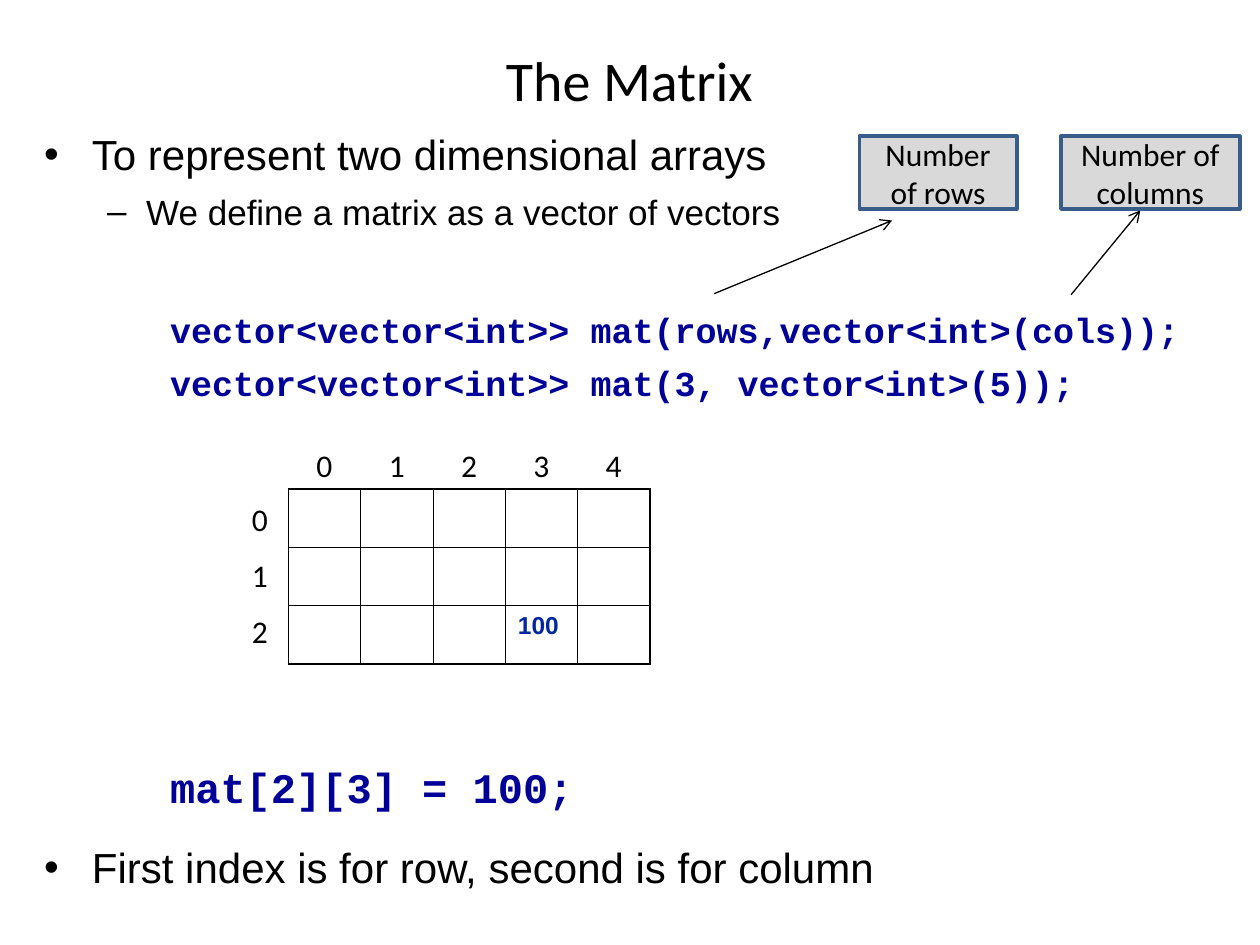
"""Build a slide that explains a matrix as a vector of vectors."""
from lxml import etree
from pptx import Presentation, util as u
from pptx.dml.color import RGBColor
from pptx.enum import shapes, text
from pptx.oxml import ns

TITLE = "The Matrix"
POINT = dict(level=0, left=0.38, hang=0.38, mark="•", font="Arial", color="000000")
SUB = dict(level=1, left=0.81, hang=0.31, mark="–", font="Arial", color="000000")
CODE = dict(level=2, left=1.25, hang=0.25, mark=None, font="Courier New", color="000099", bold=True)
BODY = [
    ("To represent two dimensional arrays", POINT, 24, 0),
    ("We define a matrix as a vector of vectors", SUB, 20, 6.5),
    ("vector<vector<int>> mat(rows,vector<int>(cols));", CODE, 20, 43.5),
    ("vector<vector<int>> mat(3, vector<int>(5));", CODE, 20, 6.5),
    ("mat[2][3] = 100;", CODE, 24, 204.5),
    ("First index is for row, second is for column", POINT, 24, 17),
]
ROWS, COLS = 3, 5
GRID = (2.29, 3.88, 2.87, 1.39)
VALUES = {(2, 3): "100"}
NOTES = [
    ("Number of rows", (6.82, 1.08, 1.25, 0.58), (5.67, 2.33), (7.08, 1.75)),
    ("Number of columns", (8.42, 1.08, 1.42, 0.58), (8.5, 2.34), (9.05, 1.67)),
]


def inches(nums):
    return [u.Inches(n) for n in nums]


def tint(part, color):
    part.rgb = RGBColor.from_string(color)


def node(parent, tag, **attrs):
    return etree.SubElement(parent, ns.qn(tag), {k: str(v) for k, v in attrs.items()})


def write(para, words, size, font="Calibri", color="000000", bold=False):
    run = para.add_run()
    run.text = words
    run.font.size = u.Pt(size)
    run.font.name = font
    run.font.bold = bold
    tint(run.font.color, color)


def place(shape, box):
    shape.left, shape.top, shape.width, shape.height = inches(box)


def add_title(slide):
    title = slide.shapes.title
    place(title, (0.5, 0.3, 8.99, 0.65))
    title.text_frame.vertical_anchor = text.MSO_ANCHOR.MIDDLE
    para = title.text_frame.paragraphs[0]
    para.alignment = text.PP_ALIGN.CENTER
    write(para, TITLE, 32)


def add_body(slide):
    body = slide.placeholders[1]
    place(body, (0.25, 0.93, 9.26, 6.13))
    frame = body.text_frame
    frame.auto_size = text.MSO_AUTO_SIZE.NONE
    frame.margin_top = u.Inches(0.09)
    for i, (words, kind, size, gap) in enumerate(BODY):
        para = frame.add_paragraph() if i else frame.paragraphs[0]
        para.level = kind["level"]
        para.space_before = u.Pt(gap)
        props = para._p.get_or_add_pPr()
        props.set("marL", str(u.Inches(kind["left"])))
        props.set("indent", str(-u.Inches(kind["hang"])))
        if kind["mark"]:
            node(props, "a:buChar", char=kind["mark"])
        else:
            node(props, "a:buNone")
        write(para, words, size, kind["font"], kind["color"], kind.get("bold", False))


def edge(cell, sides):
    props = cell._tc.get_or_add_tcPr()
    for side, outer in sides:
        line = node(props, "a:ln" + side, w=u.Pt(1.08 if outer else 0.45))
        node(node(line, "a:solidFill"), "a:srgbClr", val="000000")


def add_grid(slide):
    table = slide.shapes.add_table(ROWS, COLS, *inches(GRID)).table
    table.first_row = table.horz_banding = False
    for r in range(ROWS):
        for c in range(COLS):
            cell = table.cell(r, c)
            edge(cell, [("L", c == 0), ("R", c == COLS - 1), ("T", r == 0), ("B", r == ROWS - 1)])
            cell.fill.background()
            if (r, c) in VALUES:
                para = cell.text_frame.paragraphs[0]
                para.space_before = u.Pt(3.5)
                write(para, VALUES[r, c], 14, "Arial", "00279F", True)


def add_labels(slide):
    left, top, width, _ = GRID
    head = slide.shapes.add_textbox(*inches((2.08, 3.49, 3.04, 0.4))).text_frame
    head.word_wrap = True
    para = head.paragraphs[0]
    tabs = node(para._p.get_or_add_pPr(), "a:tabLst")
    step = width / COLS
    for c in range(COLS):
        node(tabs, "a:tab", pos=u.Inches(left - 2.18 + step * (c + 0.5)), algn="ctr")
        write(para, f"\t{c}", 18)
    side = slide.shapes.add_textbox(*inches((1.9, 4, 0.32, 1.21))).text_frame
    side.word_wrap = False
    for r in range(ROWS):
        para = side.add_paragraph() if r else side.paragraphs[0]
        para.line_spacing = u.Pt(16)
        para.space_before = u.Pt(16 if r else 0)
        write(para, str(r), 18)


def add_note(slide, words, box, start, end):
    arrow = slide.shapes.add_connector(shapes.MSO_CONNECTOR.STRAIGHT, *inches(start + end))
    arrow.line.width = u.Pt(0.75)
    tint(arrow.line.color, "000000")
    node(arrow.line._get_or_add_ln(), "a:tailEnd", type="arrow")
    node(arrow._element.spPr, "a:effectLst")
    note = slide.shapes.add_shape(shapes.MSO_SHAPE.RECTANGLE, *inches(box))
    note.shadow.inherit = False
    note.fill.solid()
    tint(note.fill.fore_color, "D9D9D9")
    note.line.width = u.Pt(2)
    tint(note.line.color, "385D8A")
    note.text_frame.word_wrap = True
    note.text_frame.vertical_anchor = text.MSO_ANCHOR.MIDDLE
    para = note.text_frame.paragraphs[0]
    para.alignment = text.PP_ALIGN.CENTER
    write(para, words, 18)


def main():
    deck = Presentation()
    deck.slide_width, deck.slide_height = inches((10, 7.5))
    slide = deck.slides.add_slide(deck.slide_layouts[1])
    add_title(slide)
    add_body(slide)
    add_grid(slide)
    add_labels(slide)
    for note in NOTES:
        add_note(slide, *note)
    deck.save("out.pptx")


if __name__ == "__main__":
    main()
